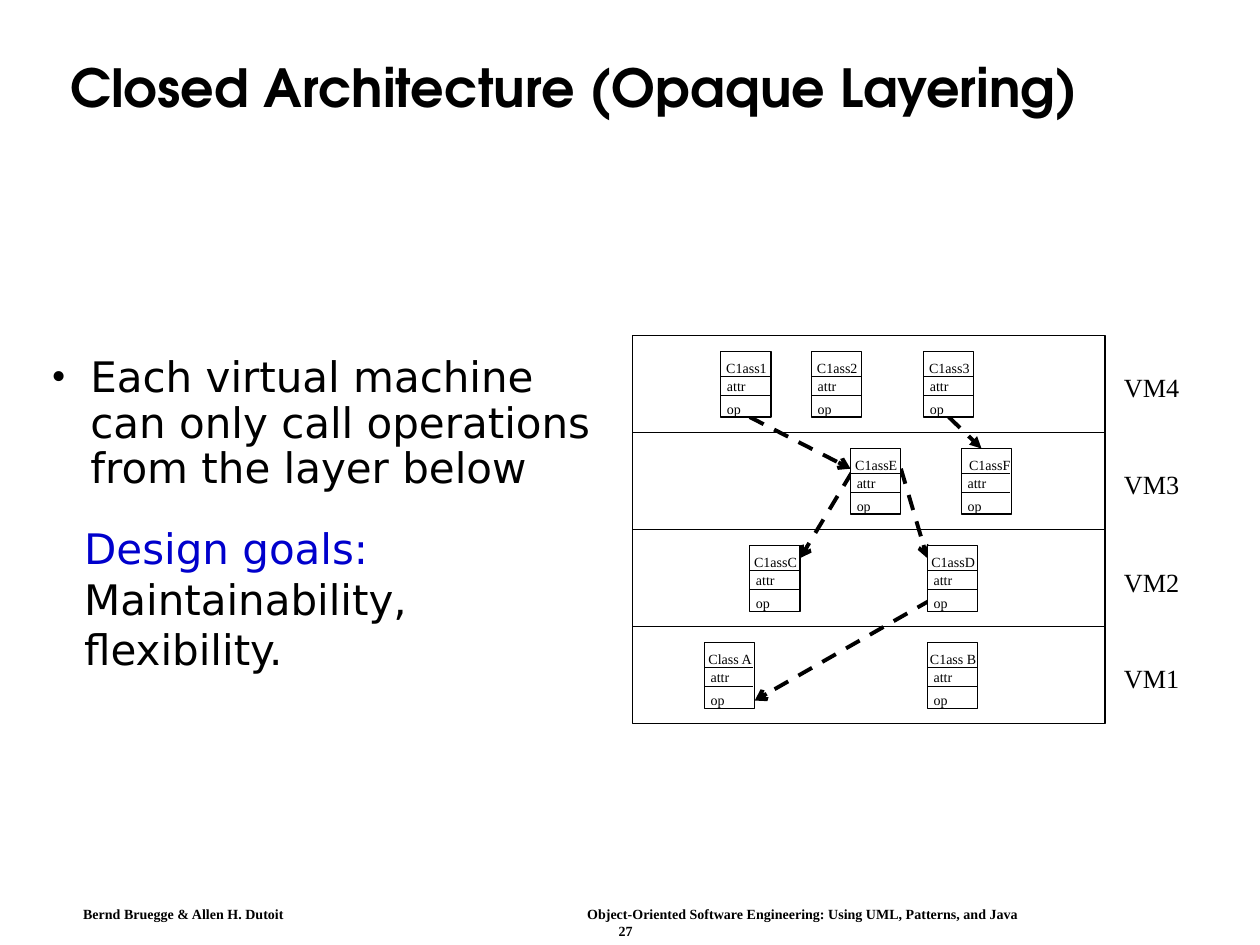
from lxml import etree
from pptx import Presentation
from pptx import util as u
from pptx.dml.color import RGBColor
from pptx.enum import dml, shapes, text
from pptx.oxml import ns

theme = {
    "ink": RGBColor(0, 0, 0),
    "blue": RGBColor(0, 0, 0xCC),
    "paper": RGBColor(255, 255, 255),
    "thin": u.Pt(0.62),
    "thick": u.Pt(2.25),
    "title": {"name": "TeX Gyre Adventor", "size": u.Pt(30), "bold": True},
    "body": {"name": "DejaVu Sans", "size": u.Pt(24)},
    "layer": {"name": "Times New Roman", "size": u.Pt(15)},
    "class": {"name": "Times New Roman", "size": u.Pt(8)},
    "foot": {"name": "Times New Roman", "size": u.Pt(8), "bold": True},
}
left, mid = text.PP_ALIGN.LEFT, text.PP_ALIGN.CENTER

deck = Presentation()
deck.slide_width, deck.slide_height = u.Inches(10), u.Inches(7.5)
slide = deck.slides.add_slide(deck.slide_layouts[6])


def write(spot, lines, style, align=left, pad=(0, 0), wrap=False):
    frame = slide.shapes.add_textbox(*map(u.Inches, spot)).text_frame
    side, edge = map(u.Inches, pad)
    form = {"margin_left": side, "margin_right": side, "margin_top": edge,
            "margin_bottom": edge, "word_wrap": wrap}
    for key, value in form.items():
        setattr(frame, key, value)
    for n, line in enumerate(lines):
        para = frame.add_paragraph() if n else frame.paragraphs[0]
        para.alignment = align
        for words, color in line:
            run = para.add_run()
            run.text = words
            run.font.color.rgb = theme[color]
            for key, value in theme[style].items():
                setattr(run.font, key, value)
    return frame


def rule(start, end, width="thin", head=None):
    ends = map(u.Inches, (*start, *end))
    line = slide.shapes.add_connector(shapes.MSO_CONNECTOR.STRAIGHT, *ends)
    line.line.color.rgb = theme["ink"]
    line.line.width = theme[width]
    if head:
        line.line.dash_style = dml.MSO_LINE.DASH
        etree.SubElement(line.line._get_or_add_ln(), ns.qn("a:tailEnd"), type=head)
    etree.SubElement(line._element.spPr, ns.qn("a:effectLst"))


foot = write(
    (0.58, 7.15, 8.65, 0.21),
    [[("Bernd Bruegge & Allen H. Dutoit\t"
       "Object-Oriented Software Engineering: Using UML, Patterns, and Java", "ink")],
     [("27", "ink")]],
    "foot", pad=(0.08, 0.04), wrap=True)
props = foot.paragraphs[0]._p.get_or_add_pPr()
tabs = etree.SubElement(props, ns.qn("a:tabLst"))
etree.SubElement(tabs, ns.qn("a:tab"), pos=str(u.Inches(4)), algn="l")
foot.paragraphs[1].alignment = mid
foot.paragraphs[1]._p.get_or_add_pPr().set("marL", str(u.Inches(0.12)))

title = write((0.46, 0.25, 8.92, 0.94),
              [[("Closed Architecture (Opaque Layering)", "ink")]],
              "title", pad=(0.1, 0.05), wrap=True)
title.vertical_anchor = text.MSO_ANCHOR.MIDDLE
title.paragraphs[0].line_spacing = 0.9

body = write((0.31, 2.78, 4.67, 2.69),
             [[("Each virtual machine can only call operations from the layer below", "ink")]],
             "body", pad=(0.1, 0.05), wrap=True).paragraphs[0]
body.line_spacing = 0.9
props = body._p.get_or_add_pPr()
props.set("marL", str(u.Inches(0.31)))
props.set("indent", str(u.Inches(-0.31)))
etree.SubElement(props, ns.qn("a:buFont"), typeface="Times New Roman")
etree.SubElement(props, ns.qn("a:buChar"), char="•")

write((0.57, 4.1, 4.34, 1.36),
      [[("Design goals:", "blue"), (" Maintainability, flexibility.", "ink")]],
      "body", pad=(0.1, 0.05), wrap=True)

calls = [
    ((7.53, 3.31), (7.79, 3.56), "triangle"),
    ((5.95, 3.31), (6.75, 3.72), "arrow"),
    ((7.15, 3.72), (7.36, 4.43), "arrow"),
    ((6.76, 3.75), (6.35, 4.43), "arrow"),
    ((7.39, 4.76), (5.99, 5.56), "arrow"),
]
for start, end, head in calls:
    rule(start, end, "thick", head)

layers = {
    "VM4": [("C1ass1", 5.72, 0), ("C1ass2", 6.44, 0), ("C1ass3", 7.33, 0)],
    "VM3": [("C1assE", 6.75, 0), ("C1assF", 7.63, 0.02)],
    "VM2": [("C1assC", 5.95, 0), ("C1assD", 7.36, 0)],
    "VM1": [("Class A", 5.59, 0), ("C1ass B", 7.36, 0)],
}
top, step = 2.66, 0.77
rows = [(top + step * n, name, items) for n, (name, items) in enumerate(layers.items())]
boxes = [((5.02, y, 3.75, step), False) for y, name, items in rows]
boxes += [((x, y + 0.13, 0.4, 0.52), True)
          for y, name, items in rows for label, x, shift in items]
for spot, solid in boxes:
    box = slide.shapes.add_shape(shapes.MSO_SHAPE.RECTANGLE, *map(u.Inches, spot))
    box.shadow.inherit = False
    if solid:
        box.fill.solid()
        box.fill.fore_color.rgb = theme["paper"]
    else:
        box.fill.background()
    box.line.color.rgb = theme["ink"]
    box.line.width = theme["thin"]

for y, name, items in rows:
    write((8.92, y + 0.29, 0.46, 0.25), [[(name, "ink")]], "layer")
    for label, x, shift in items:
        for drop in (0.33, 0.48):
            rule((x, y + drop), (x + 0.39, y + drop))
        write((x + shift, y + 0.19, 0.41, 0.13), [[(label, "ink")]], "class", mid)
        for word, drop in (("attr", 0.34), ("op", 0.52)):
            write((x + 0.05, y + drop, 0.2, 0.13), [[(word, "ink")]], "class")

deck.save("out.pptx")
